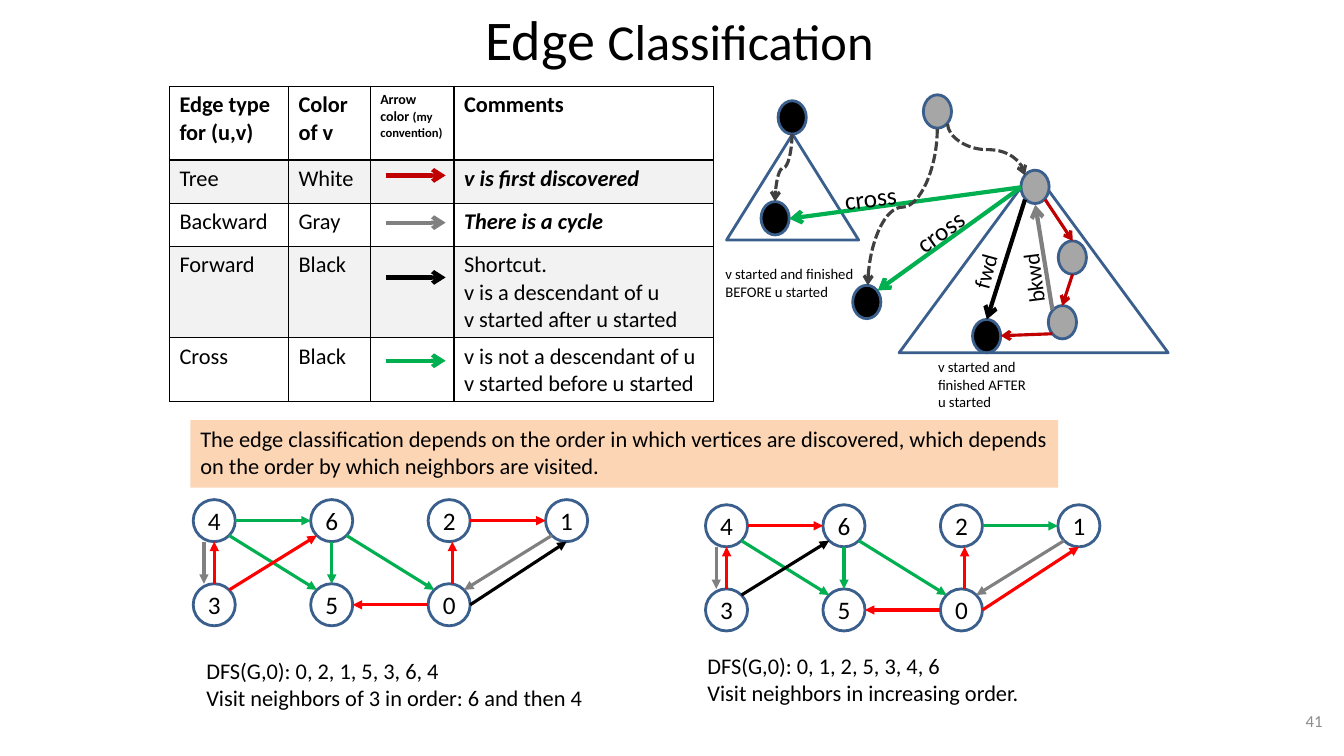
"""Build the edge classification slide: a table, a DFS forest and two coloured graphs."""
from dataclasses import dataclass
from math import hypot

from lxml.etree import SubElement
from pptx import Presentation
from pptx.dml.color import RGBColor
from pptx.enum.dml import MSO_LINE
from pptx.enum.shapes import MSO_CONNECTOR, MSO_SHAPE
from pptx.enum.text import MSO_ANCHOR, PP_ALIGN
from pptx.oxml.ns import qn
from pptx.shapes.autoshape import Shape
from pptx.shapes.connector import Connector
from pptx.slide import Slide
from pptx.table import _Cell
from pptx.text.text import TextFrame
from pptx.util import Cm, Pt

STRAIGHT, CURVE = MSO_CONNECTOR.STRAIGHT, MSO_CONNECTOR.CURVE
OVAL, TRIANGLE = MSO_SHAPE.OVAL, MSO_SHAPE.ISOSCELES_TRIANGLE
DASH, MIDDLE = MSO_LINE.SQUARE_DOT, MSO_ANCHOR.MIDDLE
LEFT, CENTER, RIGHT = PP_ALIGN.LEFT, PP_ALIGN.CENTER, PP_ALIGN.RIGHT

BLACK = RGBColor(0, 0, 0)
OUTLINE = RGBColor(0x3A, 0x5F, 0x8C)
PEACH = RGBColor(0xFC, 0xD5, 0xB5)
BAND = RGBColor(0xF2, 0xF2, 0xF2)
DOT_GRAY = RGBColor(0xA6, 0xA6, 0xA6)
GRAY = RGBColor(0x80, 0x80, 0x80)
DARK_GRAY = RGBColor(0x40, 0x40, 0x40)
NUMBER_GRAY = RGBColor(0x8C, 0x8C, 0x8C)
RED = RGBColor(0xFF, 0, 0)
DARK_RED = RGBColor(0xC0, 0, 0)
GREEN = RGBColor(0, 0xB0, 0x50)

FONT = "Calibri"
Point = tuple[float, float]
Box = tuple[float, float, float, float]


@dataclass
class Run:
    text: str
    size: float = 16
    bold: bool = False
    italic: bool = False
    color: RGBColor = BLACK


@dataclass
class Label:
    box: Box
    lines: list[Run]
    rotation: float = 0
    wrap: bool = True


@dataclass
class Arrow:
    start: Point
    end: Point
    color: RGBColor
    width: float = 3
    head: str = "arrow"


@dataclass
class Graph:
    left: float
    top: float
    edges: dict[RGBColor, str]


NODE, STEP_X, STEP_Y = 1.06, 2.96, 2.12
NODES = {"4": (0, 0), "6": (1, 0), "2": (2, 0), "1": (3, 0),
         "3": (0, 1), "5": (1, 1), "0": (2, 1)}
SHIFTS = {"43": -0.26, "02": 0.08}
SITES = {"01": ((1, 0), (0, 1))}
GRAPHS = [
    Graph(4.87, 12.59, {GREEN: "46 65 45 60", RED: "05 21 34 02 36",
                        GRAY: "10 43", BLACK: "01"}),
    Graph(17.78, 12.72, {GREEN: "21 65 45 60", RED: "46 05 34 02 01",
                         GRAY: "10 43", BLACK: "36"}),
]

TRIANGLES = [(22.66, 4.29, 6.78, 4.6), (18.31, 3.38, 3.33, 2.67)]
DOTS = {
    DOT_GRAY: [(25.73, 4.29), (26.42, 7.7), (26.67, 6.07), (23.27, 2.39)],
    BLACK: [(24.51, 8.05), (21.49, 7.19), (19.61, 2.54), (19.18, 5.08)],
}
FOREST_ARROWS = [
    Arrow((26.34, 5.03), (27.03, 6.07), DARK_RED, 2.25),
    Arrow((27.03, 6.91), (26.77, 7.7), DARK_RED, 2.25),
    Arrow((26.52, 8.41), (25.22, 8.46), DARK_RED, 2.25),
    Arrow((25.83, 5.03), (24.87, 8.05), BLACK),
    Arrow((25.73, 4.72), (22.12, 7.32), GREEN),
    Arrow((25.73, 4.72), (19.89, 5.51), GREEN),
    Arrow((26.52, 7.8), (26.09, 5.16), GRAY),
]
PATHS = [
    Arrow((23.88, 3.12), (25.83, 4.42), DARK_GRAY, 2.25),
    Arrow((23.62, 3.25), (21.87, 7.19), DARK_GRAY, 2.25),
    Arrow((19.96, 3.38), (19.53, 5.08), DARK_GRAY, 2.25),
]
LEGEND = [Arrow((9.73, y), (11.23, y), color) for y, color in
          [(4.42, DARK_RED), (5.61, GRAY), (6.99, BLACK), (9.09, GREEN)]]
LABELS = [
    Label((22.78, 5.31, 1.83, 1.02), [Run("cross", 18)], 324.4, False),
    Label((21.03, 4.47, 1.83, 1.02), [Run("cross", 18)], 353.1, False),
    Label((24.13, 6.35, 1.4, 0.94), [Run("fwd")], 285.4, False),
    Label((25.15, 6.53, 1.78, 0.94), [Run("bkwd")], 262.7, False),
    Label((18.03, 6.55, 3.91, 1.14), [Run("v started and finished BEFORE u started", 10.5)]),
    Label((23.39, 8.89, 2.95, 1.6), [Run("v started and finished AFTER u started", 10.5)]),
    Label((4.95, 16.43, 10.29, 1.63), [Run("DFS(G,0): 0, 2, 1, 5, 3, 6, 4"),
                                       Run("Visit neighbors of 3 in order: 6 and then 4")]),
    Label((17.58, 16.31, 10.59, 1.63), [Run("DFS(G,0): 0, 1, 2, 5, 3, 4, 6"),
                                        Run("Visit neighbors in increasing order.")]),
]

COLUMNS = [3, 2.06, 2.11, 6.55]
ROWS = [1.85, 1.09, 1.09, 2.3, 1.61]
CELLS = [
    [[[Run("Edge type", bold=True)], [Run("for (u,v)", bold=True)]],
     [[Run("Color of v", bold=True)]],
     [[Run("Arrow color ", 10, True), Run("(my convention)", 9, True)]],
     [[Run("Comments", bold=True)]]],
    [[[Run("Tree")]], [[Run("White")]], [], [[Run("v is first discovered", 16, True, True)]]],
    [[[Run("Backward")]], [[Run("Gray")]], [], [[Run("There is a cycle", 16, True, True)]]],
    [[[Run("Forward")]], [[Run("Black")]], [],
     [[Run("Shortcut.")], [Run("v is a descendant of u")], [Run("v started after u started")]]],
    [[[Run("Cross")]], [[Run("Black")]], [],
     [[Run("v is not a descendant of u")], [Run("v started before u started")]]],
]


def write(tf: TextFrame, paragraphs: list[list[Run]], align: PP_ALIGN = LEFT) -> None:
    for i, runs in enumerate(paragraphs):
        p = tf.add_paragraph() if i else tf.paragraphs[0]
        p.alignment = align
        for run in runs:
            r = p.add_run()
            r.text = run.text
            r.font.name, r.font.size = FONT, Pt(run.size)
            r.font.bold, r.font.italic = run.bold, run.italic
            r.font.color.rgb = run.color


def add_label(s: Slide, label: Label, align: PP_ALIGN = LEFT) -> Shape:
    sp = s.shapes.add_textbox(*map(Cm, label.box))
    sp.rotation = label.rotation
    sp.text_frame.word_wrap = label.wrap
    write(sp.text_frame, [[run] for run in label.lines], align)
    return sp


def add_outline(s: Slide, kind: MSO_SHAPE, box: Box, fill: RGBColor | None = None) -> Shape:
    sp = s.shapes.add_shape(kind, *map(Cm, box))
    sp.shadow.inherit = False
    if fill is None:
        sp.fill.background()
    else:
        sp.fill.solid()
        sp.fill.fore_color.rgb = fill
    sp.line.color.rgb, sp.line.width = OUTLINE, Pt(2)
    return sp


def add_arrow(s: Slide, arrow: Arrow, kind: MSO_CONNECTOR = STRAIGHT) -> Connector:
    c = s.shapes.add_connector(kind, *map(Cm, (*arrow.start, *arrow.end)))
    c.line.color.rgb, c.line.width = arrow.color, Pt(arrow.width)
    if kind == CURVE:
        c.line.dash_style = DASH
    SubElement(c.line._ln, qn("a:tailEnd"), type=arrow.head)
    SubElement(c._element.spPr, qn("a:effectLst"))
    return c


def add_path(s: Slide, path: Arrow) -> None:
    (x1, y1), (x2, y2) = path.start, path.end
    cx, cy, dx, dy = (x1 + x2) / 2, (y1 + y2) / 2, (x2 - x1) / 2, (y2 - y1) / 2
    turned = Arrow((cx - dy, cy + dx), (cx + dy, cy - dx), path.color, path.width)
    add_arrow(s, turned, CURVE)._element.spPr.find(qn("a:xfrm")).set("rot", "5400000")


def add_graph(s: Slide, graph: Graph) -> None:
    corners = {n: (graph.left + i * STEP_X, graph.top + j * STEP_Y)
               for n, (i, j) in NODES.items()}
    for name, corner in corners.items():
        tf = add_outline(s, OVAL, (*corner, NODE, NODE)).text_frame
        tf.margin_left = tf.margin_right = tf.margin_top = tf.margin_bottom = 0
        tf.vertical_anchor = MIDDLE
        write(tf, [[Run(name, 18)]], CENTER)

    def site(name: str, way: Point, shift: float) -> Point:
        x, y = corners[name]
        reach = NODE / 2 / hypot(*way)
        return x + NODE / 2 + way[0] * reach + shift, y + NODE / 2 + way[1] * reach

    for color, edges in graph.edges.items():
        for edge in edges.split():
            (i, j), (k, m) = NODES[edge[0]], NODES[edge[1]]
            leave, enter = SITES.get(edge, ((k - i, m - j), (i - k, j - m)))
            shift = SHIFTS.get(edge, 0)
            add_arrow(s, Arrow(site(edge[0], leave, shift), site(edge[1], enter, shift),
                               color, 2.25, "triangle"))


def style_cell(cell: _Cell, banded: bool) -> None:
    tcPr = cell._tc.get_or_add_tcPr()
    for side in ("a:lnL", "a:lnR", "a:lnT", "a:lnB"):
        ln = SubElement(tcPr, qn(side), w=str(Pt(1)))
        SubElement(SubElement(ln, qn("a:solidFill")), qn("a:srgbClr"), val=str(BLACK))
    if banded:
        cell.fill.solid()
        cell.fill.fore_color.rgb = BAND
    else:
        cell.fill.background()


def add_edge_table(s: Slide) -> None:
    box = (4.27, 2.18, sum(COLUMNS), sum(ROWS))
    table = s.shapes.add_table(len(ROWS), len(COLUMNS), *map(Cm, box)).table
    table.first_row = table.horz_banding = False
    for column, width in zip(table.columns, COLUMNS):
        column.width = Cm(width)
    for i, (row, height) in enumerate(zip(table.rows, ROWS)):
        row.height = Cm(height)
        for cell, paragraphs in zip(row.cells, CELLS[i]):
            style_cell(cell, i % 2 == 1)
            write(cell.text_frame, paragraphs)


def main() -> None:
    prs = Presentation()
    prs.slide_width, prs.slide_height = Cm(33.87), Cm(19.05)
    s = prs.slides.add_slide(prs.slide_layouts[5])
    title = s.shapes.title
    title.left, title.top, title.width, title.height = map(Cm, (11.46, 0, 11.33, 1.9))
    title.text_frame.vertical_anchor = MIDDLE
    write(title.text_frame, [[Run("Edge ", 40), Run("Classification", 36)]], CENTER)

    banner = add_label(s, Label((4.8, 10.59, 21.87, 1.7), [Run(
        "The edge classification depends on the order in which vertices are discovered, "
        "which depends on the order by which neighbors are visited.")]))
    banner.fill.solid()
    banner.fill.fore_color.rgb = PEACH
    number = add_label(s, Label((25.68, 17.65, 7.9, 1.02),
                                [Run("41", 12, color=NUMBER_GRAY)]), RIGHT)
    number.text_frame.vertical_anchor = MIDDLE

    for graph in GRAPHS:
        add_graph(s, graph)
    for box in TRIANGLES:
        add_outline(s, TRIANGLE, box)
    for color, corners in DOTS.items():
        for corner in corners:
            add_outline(s, OVAL, (*corner, 0.71, 0.84), color)
    add_edge_table(s)
    for arrow in FOREST_ARROWS + LEGEND:
        add_arrow(s, arrow)
    for path in PATHS:
        add_path(s, path)
    for label in LABELS:
        add_label(s, label)
    prs.save("out.pptx")


if __name__ == "__main__":
    main()
